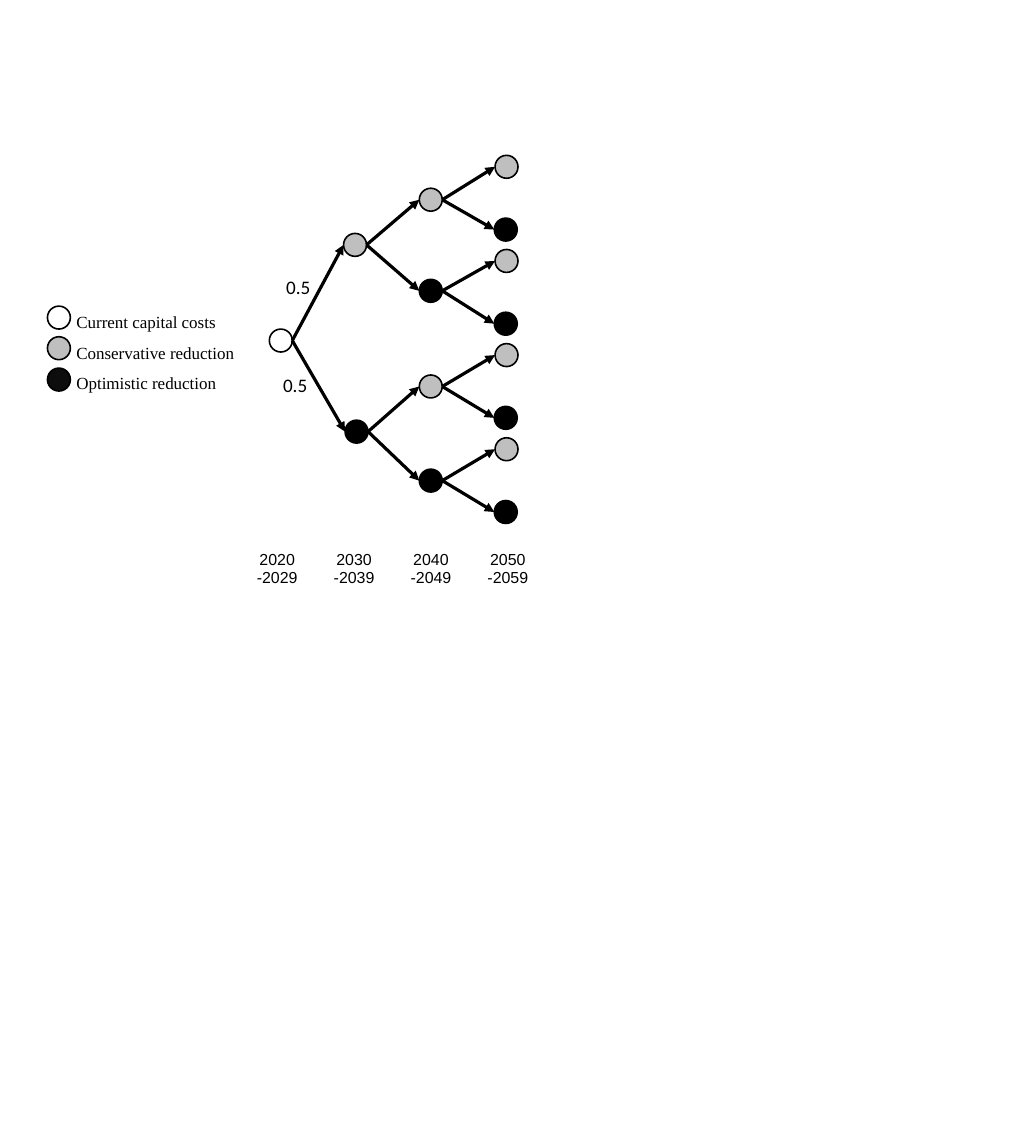
from dataclasses import dataclass

from pptx import Presentation
from pptx.dml.color import RGBColor
from pptx.enum.shapes import MSO_CONNECTOR as Connector
from pptx.enum.shapes import MSO_SHAPE as Shape
from pptx.enum.text import MSO_AUTO_SIZE as AutoSize
from pptx.enum.text import PP_ALIGN as Align
from pptx.oxml.ns import qn
from pptx.util import Inches, Pt
from lxml.etree import SubElement


@dataclass(frozen=True)
class Theme:
    """Colours, fonts and sizes of the scenario tree."""
    ink: str = "000000"
    conservative: str = "BFBFBF"
    optimistic: str = "000000"
    optimistic_key: str = "0D0D0D"
    label_size: int = 18
    legend_size: int = 16
    period_size: int = 15
    outline: float = 1.5
    arrow: float = 3
    node: float = 0.3


THEME = Theme()
ROOT = (3.52, 4.3)
FIRST_STAGE = [(4.49, 3.05), (4.51, 5.49)]
SECOND_STAGE = [(5.48, top) for top in (2.46, 3.65, 4.9, 6.13)]
LEAVES = [(left, 2.03 + 1.23 * pair + drop)
          for pair in range(4) for left, drop in ((6.47, 0), (6.46, 0.82))]
PERIODS = [(str(year), f"-{year + 9}") for year in range(2020, 2060, 10)]
LEGEND = [("Current capital costs", None, 4),
          ("Conservative reduction", THEME.conservative, 4.4),
          ("Optimistic reduction", THEME.optimistic_key, 4.81)]


def write_lines(frame, lines, *, font, size, align=Align.LEFT, spacing=None):
    """Write each line as a paragraph of the given format."""
    for index, line in enumerate(lines):
        para = frame.paragraphs[0] if index == 0 else frame.add_paragraph()
        para.alignment = align
        if spacing:
            para.line_spacing = spacing
        span = para.add_run()
        span.text = line
        span.font.name = font
        span.font.size = Pt(size)
        span.font.color.rgb = RGBColor.from_string(THEME.ink)


def add_text(page, lines, left, top, width, height, **style):
    """Add an unwrapped text box that fits its text."""
    box = page.shapes.add_textbox(*map(Inches, (left, top, width, height)))
    box.text_frame.word_wrap = False
    box.text_frame.auto_size = AutoSize.SHAPE_TO_FIT_TEXT
    write_lines(box.text_frame, lines, **style)


def add_node(shapes, place, colour=None):
    """Add a circle, left hollow when no colour is given."""
    size = Inches(THEME.node)
    node = shapes.add_shape(Shape.OVAL, *map(Inches, place), size, size)
    node.shadow.inherit = False
    if colour:
        node.fill.solid()
        node.fill.fore_color.rgb = RGBColor.from_string(colour)
    else:
        node.fill.background()
    node.line.color.rgb = RGBColor.from_string(THEME.ink)
    node.line.width = Pt(THEME.outline)


def add_arrow(shapes, parent, child):
    """Add an arrow from the parent's right side to the child's left side."""
    middle = THEME.node / 2
    start = (parent[0] + THEME.node, parent[1] + middle)
    end = (child[0], child[1] + middle)
    arrow = shapes.add_connector(Connector.STRAIGHT, *map(Inches, start + end))
    arrow.line.color.rgb = RGBColor.from_string(THEME.ink)
    arrow.line.width = Pt(THEME.arrow)
    properties = arrow._element.spPr
    SubElement(properties.find(qn("a:ln")), qn("a:tailEnd"), type="triangle")
    SubElement(properties, qn("a:effectLst"))


def add_branches(shapes, parent, children):
    """Split a node into a conservative and an optimistic outcome."""
    for child, colour in zip(children, (THEME.conservative, THEME.optimistic)):
        add_arrow(shapes, parent, child)
        add_node(shapes, child, colour)


def add_tree(page):
    """Draw the tree, with each pair of leaves in its own group."""
    add_node(page.shapes, ROOT)
    add_branches(page.shapes, ROOT, FIRST_STAGE)
    for index, parent in enumerate(FIRST_STAGE):
        add_branches(page.shapes, parent, SECOND_STAGE[2 * index:2 * index + 2])
    for index, parent in enumerate(SECOND_STAGE):
        group = page.shapes.add_group_shape()
        add_branches(group.shapes, parent, LEAVES[2 * index:2 * index + 2])
    for left, top in ((3.64, 3.55), (3.6, 4.83)):
        add_text(page, ["0.5"], left, top, 0.52, 0.4,
                 font="Calibri", size=THEME.label_size)


def add_legend(page):
    """Add the key to the node colours."""
    for _, colour, top in LEGEND:
        add_node(page.shapes, (0.62, top), colour)
    add_text(page, [label for label, _, _ in LEGEND], 0.9, 3.89, 2.3, 1.26,
             font="Times New Roman", size=THEME.legend_size, spacing=1.5)


def add_periods(page):
    """Add the row of periods below the tree."""
    table = page.shapes.add_table(
        1, len(PERIODS), *map(Inches, (3.12, 7.15, 4.02, 0.6))).table
    table.first_row = table.horz_banding = False
    for cell, lines in zip(table.rows[0].cells, PERIODS):
        cell.fill.background()
        write_lines(cell.text_frame, lines, font="Arial",
                    size=THEME.period_size, align=Align.CENTER)


def main():
    """Build the slide and save it."""
    deck = Presentation()
    deck.slide_width, deck.slide_height = Inches(13.33), Inches(15)
    page = deck.slides.add_slide(deck.slide_layouts[6])
    add_periods(page)
    add_legend(page)
    add_tree(page)
    deck.save("out.pptx")


if __name__ == "__main__":
    main()
